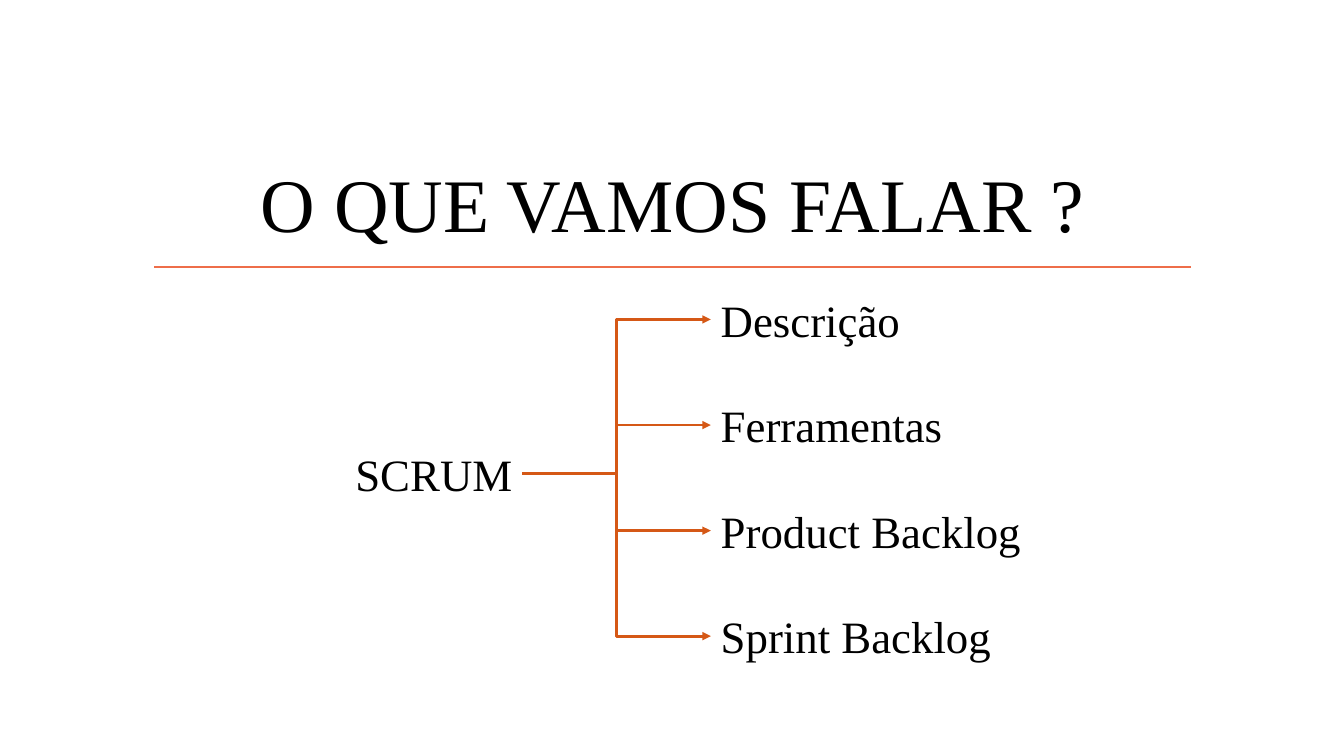
from dataclasses import dataclass

from lxml import etree
from pptx import Presentation
from pptx.dml.color import RGBColor
from pptx.enum.shapes import MSO_CONNECTOR
from pptx.enum.text import MSO_ANCHOR, MSO_AUTO_SIZE, PP_ALIGN
from pptx.oxml.ns import qn
from pptx.shapes.autoshape import Shape
from pptx.shapes.connector import Connector
from pptx.slide import Slide
from pptx.util import Inches, Pt

LEFT, CENTER, RIGHT = PP_ALIGN.LEFT, PP_ALIGN.CENTER, PP_ALIGN.RIGHT
TOP, MIDDLE = MSO_ANCHOR.TOP, MSO_ANCHOR.MIDDLE
STRAIGHT, ELBOW = MSO_CONNECTOR.STRAIGHT, MSO_CONNECTOR.ELBOW
GROW, FIXED = MSO_AUTO_SIZE.SHAPE_TO_FIT_TEXT, MSO_AUTO_SIZE.NONE
LEFT_SIDE, RIGHT_SIDE = 1, 3

WIDTH, HEIGHT = Inches(13.33), Inches(7.5)
FONT = "Times New Roman"
COLORS = {"text": "000000", "rule": "EE6E4A", "branch": "D55816"}

# Places and sizes are percentages of the slide's width and height.
LABEL_HEIGHT = 8.53
TOPIC_LEFT, TOPIC_TOP, TOPIC_WIDTH, TOPIC_STEP = 52.89, 38, 29.11, 13.96
TOPICS = ["Descrição", "Ferramentas", "Product Backlog", "Sprint Backlog"]


@dataclass
class Label:
    text: str
    left: float
    top: float
    width: float
    height: float = LABEL_HEIGHT
    size: int = 32
    align: PP_ALIGN = LEFT
    anchor: MSO_ANCHOR = TOP
    fit: MSO_AUTO_SIZE = GROW
    line_spacing: float = 1.0


def across(percent: float) -> int:
    return round(WIDTH * percent / 100)


def down(percent: float) -> int:
    return round(HEIGHT * percent / 100)


def add_label(slide: Slide, label: Label) -> Shape:
    box = slide.shapes.add_textbox(across(label.left), down(label.top),
                                   across(label.width), down(label.height))
    frame = box.text_frame
    frame.word_wrap = True
    frame.auto_size = label.fit
    frame.vertical_anchor = label.anchor
    paragraph = frame.paragraphs[0]
    paragraph.text = label.text
    paragraph.alignment = label.align
    paragraph.line_spacing = label.line_spacing
    paragraph.font.name = FONT
    paragraph.font.size = Pt(label.size)
    paragraph.font.color.rgb = RGBColor.from_string(COLORS["text"])
    return box


def style_line(line: Connector, color: str, width: float) -> None:
    line.line.color.rgb = RGBColor.from_string(COLORS[color])
    line.line.width = Pt(width)
    etree.SubElement(line._element.spPr, qn("a:effectLst"))


def add_rule(slide: Slide, left: float, right: float, top: float) -> None:
    rule = slide.shapes.add_connector(STRAIGHT, across(left), down(top),
                                      across(right), down(top))
    style_line(rule, "rule", 1.25)


def add_branch(slide: Slide, root: Shape, topic: Shape) -> None:
    """Join the root's right side to the topic's left side with an elbow arrow."""
    branch = slide.shapes.add_connector(ELBOW, 0, 0, 0, 0)
    branch.begin_connect(root, RIGHT_SIDE)
    branch.end_connect(topic, LEFT_SIDE)
    style_line(branch, "branch", 2)
    etree.SubElement(branch.line._ln, qn("a:tailEnd"), type="triangle")


def main() -> None:
    deck = Presentation()
    deck.slide_width, deck.slide_height = WIDTH, HEIGHT
    slide = deck.slides.add_slide(deck.slide_layouts[6])

    add_rule(slide, 11.48, 88.6, 35.33)
    add_label(slide, Label("O QUE VAMOS FALAR ?", 10.65, 14.27, 78.77, 19.07,
                           size=54, align=CENTER, anchor=MIDDLE, fit=FIXED,
                           line_spacing=1.5))
    scrum = add_label(slide, Label("SCRUM", 23.11, 58.4, 15.75, align=RIGHT))
    for row, name in enumerate(TOPICS):
        topic = add_label(slide, Label(name, TOPIC_LEFT, TOPIC_TOP + row * TOPIC_STEP,
                                       TOPIC_WIDTH))
        add_branch(slide, scrum, topic)

    deck.save("out.pptx")


if __name__ == "__main__":
    main()
